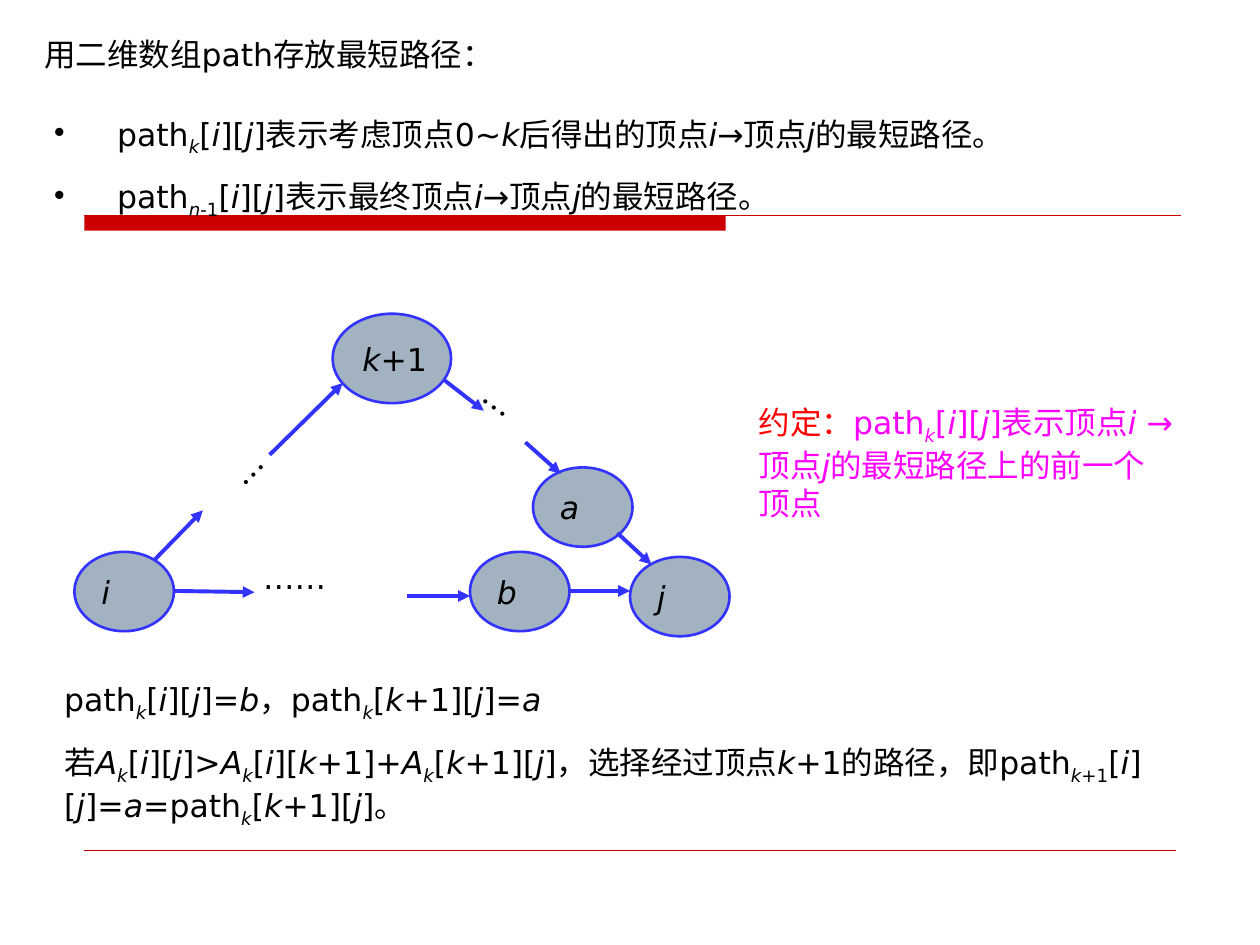
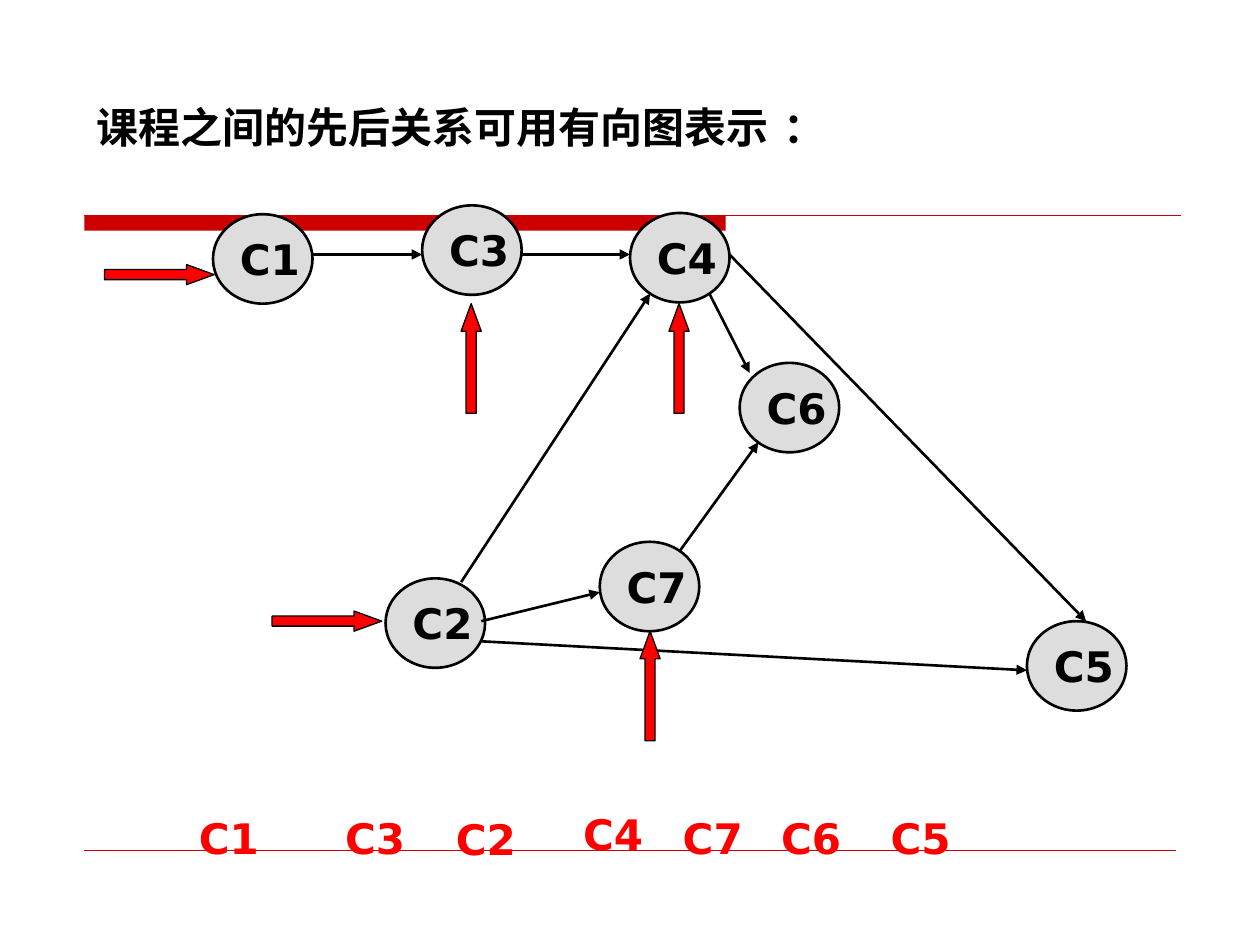
from lxml.etree import SubElement
from pptx import Presentation
from pptx.dml.color import RGBColor
from pptx.enum.shapes import MSO_CONNECTOR as Link, MSO_SHAPE as Form
from pptx.enum.text import MSO_ANCHOR as Anchor, MSO_AUTO_SIZE as Fit, PP_ALIGN as Align
from pptx.oxml.ns import qn
from pptx.util import Inches, Pt

BLACK = RGBColor(0x00, 0x00, 0x00)
CRIMSON = RGBColor(0xCC, 0x00, 0x00)
RED = RGBColor(0xFF, 0x00, 0x00)
PINK = RGBColor(0xFF, 0x00, 0xFF)
BLUE = RGBColor(0x33, 0x33, 0xFF)
STEEL = RGBColor(0xA3, 0xB2, 0xC1)
GREY = RGBColor(0xDD, 0xDD, 0xDD)
SANS = "DejaVu Sans"
HAN = "Noto Sans CJK SC"


class Deck:
    def __init__(self):
        self.prs = Presentation()
        self.prs.slide_width = Inches(10)
        self.prs.slide_height = Inches(7.5)

    def start(self, size, bold, fill, edge, width):
        self.size, self.bold = size, bold
        self.fill, self.edge, self.width = fill, edge, width
        self.slide = self.prs.slides.add_slide(self.prs.slide_layouts[6])
        self.shape(Form.RECTANGLE, 0.67, 1.71, 5.09, 0.12, CRIMSON)
        self.line((0.67, 1.71), (9.37, 1.71), CRIMSON, 0.75)
        self.line((0.67, 6.75), (9.33, 6.75), CRIMSON, 0.25)

    def shape(self, form, x, y, w, h, fill, edge=None, width=0.75):
        item = self.slide.shapes.add_shape(form, Inches(x), Inches(y), Inches(w), Inches(h))
        item.shadow.inherit = False
        item.fill.solid()
        item.fill.fore_color.rgb = fill
        if edge is None:
            item.line.fill.background()
        else:
            item.line.color.rgb = edge
            item.line.width = Pt(width)
        return item

    def line(self, start, end, color, width):
        ends = [Inches(v) for v in start + end]
        item = self.slide.shapes.add_connector(Link.STRAIGHT, *ends)
        item.line.color.rgb = color
        item.line.width = Pt(width)
        SubElement(item._element.spPr, qn("a:effectLst"))
        return item

    def arrow(self, start, end):
        item = self.line(start, end, self.edge, self.width)
        SubElement(item.line._get_or_add_ln(), qn("a:tailEnd"), type="triangle")

    def words(self, frame, lines, color, font=SANS, bullet=False):
        for n, text in enumerate(lines):
            para = frame.add_paragraph() if n else frame.paragraphs[0]
            props = para._p.get_or_add_pPr()
            if bullet:
                props.set("marL", str(Inches(0.5)))
                props.set("indent", str(-Inches(0.5)))
                SubElement(props, qn("a:buChar"), char="•")
            para.alignment = Align.LEFT
            if n:
                para.space_before = Pt(11.2)
            para.font.size = Pt(self.size)
            para.font.bold = self.bold
            para.font.color.rgb = color
            para.font.name = font
            SubElement(props.find(qn("a:defRPr")), qn("a:ea"), typeface=font)
            self.runs(para, text)

    def runs(self, para, text):
        for low, part in enumerate(text.split("_")):
            for slant, bit in enumerate(part.split("*")):
                if not bit:
                    continue
                run = para.add_run()
                run.text = bit
                if slant % 2:
                    run.font.italic = True
                if low % 2:
                    run.font._element.set("baseline", "-25000")

    def text(self, x, y, w, h, *lines, color=BLACK, font=SANS, bullet=False, pad=0.1, turn=0):
        box = self.slide.shapes.add_textbox(Inches(x), Inches(y), Inches(w), Inches(h))
        box.rotation = turn
        frame = box.text_frame
        frame.word_wrap = True
        frame.auto_size = Fit.SHAPE_TO_FIT_TEXT
        frame.margin_left = frame.margin_right = Inches(pad)
        frame.margin_top = frame.margin_bottom = Inches(pad / 2)
        self.words(frame, lines, color, font, bullet)
        return frame

    def node(self, name, x, y, w=0.79, h=0.71):
        item = self.shape(Form.OVAL, x, y, w, h, self.fill, self.edge, 1.5)
        frame = item.text_frame
        frame.word_wrap = False
        frame.vertical_anchor = Anchor.MIDDLE
        self.words(frame, [name], BLACK)

    def block(self, form, x, y):
        w, h = (0.87, 0.16) if form == Form.RIGHT_ARROW else (0.16, 0.87)
        item = self.shape(form, x, y, w, h, RED, BLACK)
        item.adjustments[0] = 0.5
        item.adjustments[1] = 1.37


def paths(deck):
    deck.start(18, False, STEEL, BLUE, 2.25)
    deck.text(0.35, 0.28, 9.06, 0.3, "用二维数组path存放最短路径：", pad=0)
    deck.text(
        0.43, 0.91, 8.9, 0.84,
        "path_*k*_[*i*][*j*]表示考虑顶点0~*k*后得出的顶点*i*→顶点*j*的最短路径。",
        "path_*n*-1_[*i*][*j*]表示最终顶点*i*→顶点*j*的最短路径。",
        bullet=True, pad=0)

    deck.node("*k*+1", 2.64, 2.49, 0.94)
    for name, x, y in [("i", 0.59, 4.38), ("j", 5, 4.42), ("a", 4.23, 3.71), ("b", 3.73, 4.38)]:
        deck.node(f"*{name}*", x, y, h=0.63)
    for start, end in [
        ((1.22, 4.45), (1.61, 4.05)), ((2.14, 3.61), (2.72, 3.04)),
        ((3.53, 3.02), (3.84, 3.26)), ((4.17, 3.51), (4.45, 3.76)),
        ((4.9, 4.23), (5.17, 4.48)), ((1.38, 4.69), (2.02, 4.7)),
        ((3.23, 4.73), (3.73, 4.73)), ((4.51, 4.69), (5, 4.69)),
    ]:
        deck.arrow(start, end)
    deck.text(1.57, 3.67, 0.71, 0.4, "…", font=HAN, turn=135)
    deck.text(3.68, 3.11, 0.71, 0.4, "…", font=HAN, turn=35.8)
    deck.text(1.99, 4.38, 1.42, 0.4, "……")

    deck.text(
        0.51, 5.4, 8.9, 1.18,
        "path_*k*_[*i*][*j*]=*b*，path_*k*_[*k*+1][*j*]=*a*",
        "若*A*_*k*_[*i*][*j*]>*A*_*k*_[*i*][*k*+1]+*A*_*k*_[*k*+1][*j*]，选择经过顶点*k*+1的路径，"
        "即path_*k*+1_[*i*][*j*]=*a*=path_*k*_[*k*+1][*j*]。",
        pad=0)
    rule = deck.text(
        6.02, 3.2, 3.31, 0.94,
        "约定：__path_*k*_[*i*][*j*]表示顶点*i* →顶点*j*的最短路径上的前一个顶点",
        color=PINK, pad=0)
    rule.paragraphs[0].runs[0].font.color.rgb = RED


def courses(deck):
    deck.start(24, True, GREY, BLACK, 1.5)
    deck.text(0.67, 0.76, 7.17, 0.5, "课程之间的先后关系可用有向图表示 ：")
    for name, x, y in [
        ("C1", 1.69, 1.7), ("C3", 3.35, 1.63), ("C4", 5, 1.69), ("C6", 5.87, 2.88),
        ("C7", 4.76, 4.3), ("C5", 8.15, 4.93), ("C2", 3.06, 4.59),
    ]:
        deck.node(name, x, y)
    for start, end in [
        ((2.48, 2.02), (3.35, 2.02)), ((4.13, 2.02), (5, 2.02)),
        ((3.66, 4.62), (5.16, 2.33)), ((5.63, 2.33), (5.95, 2.96)),
        ((5.39, 4.38), (6.02, 3.51)), ((3.82, 4.93), (4.76, 4.7)),
        ((3.82, 5.09), (8.15, 5.32)), ((5.79, 2.02), (8.62, 4.93)),
    ]:
        deck.arrow(start, end)
    for x, y in [(0.83, 2.1), (2.16, 4.85)]:
        deck.block(Form.RIGHT_ARROW, x, y)
    for x, y in [(3.66, 2.41), (5.31, 2.41), (5.08, 5.01)]:
        deck.block(Form.UP_ARROW, x, y)
    for name, x, y, w in [
        ("C1", 1.48, 6.4, 1.07), ("C3", 2.64, 6.4, 0.95), ("C2", 3.52, 6.41, 1.1),
        ("C4", 4.53, 6.37, 0.86), ("C7", 5.32, 6.4, 0.78), ("C6", 6.1, 6.4, 0.85),
        ("C5", 6.97, 6.4, 0.92),
    ]:
        deck.text(x, y, w, 0.5, name, color=RED)


def main():
    deck = Deck()
    paths(deck)
    courses(deck)
    deck.prs.save("out.pptx")


if __name__ == "__main__":
    main()
